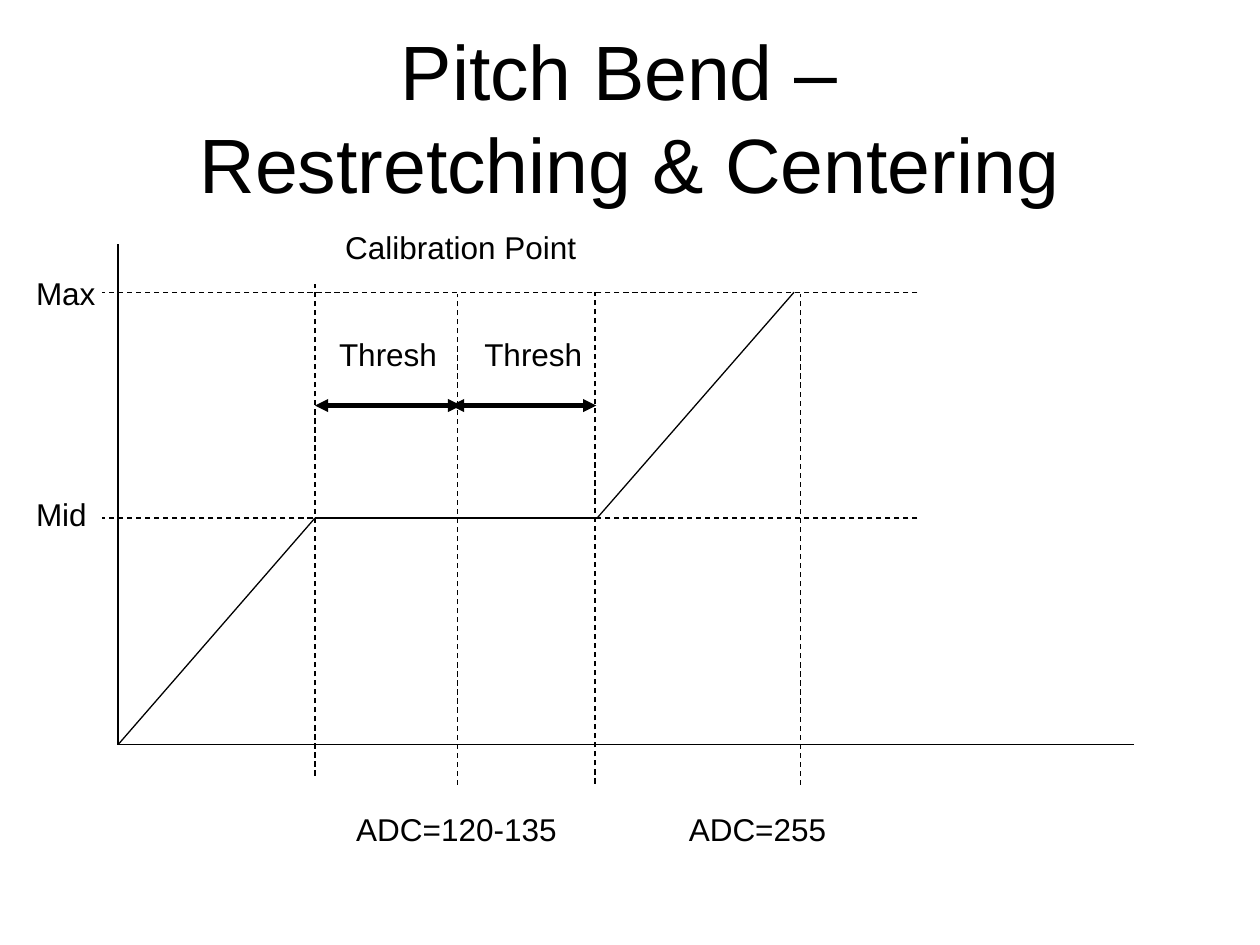
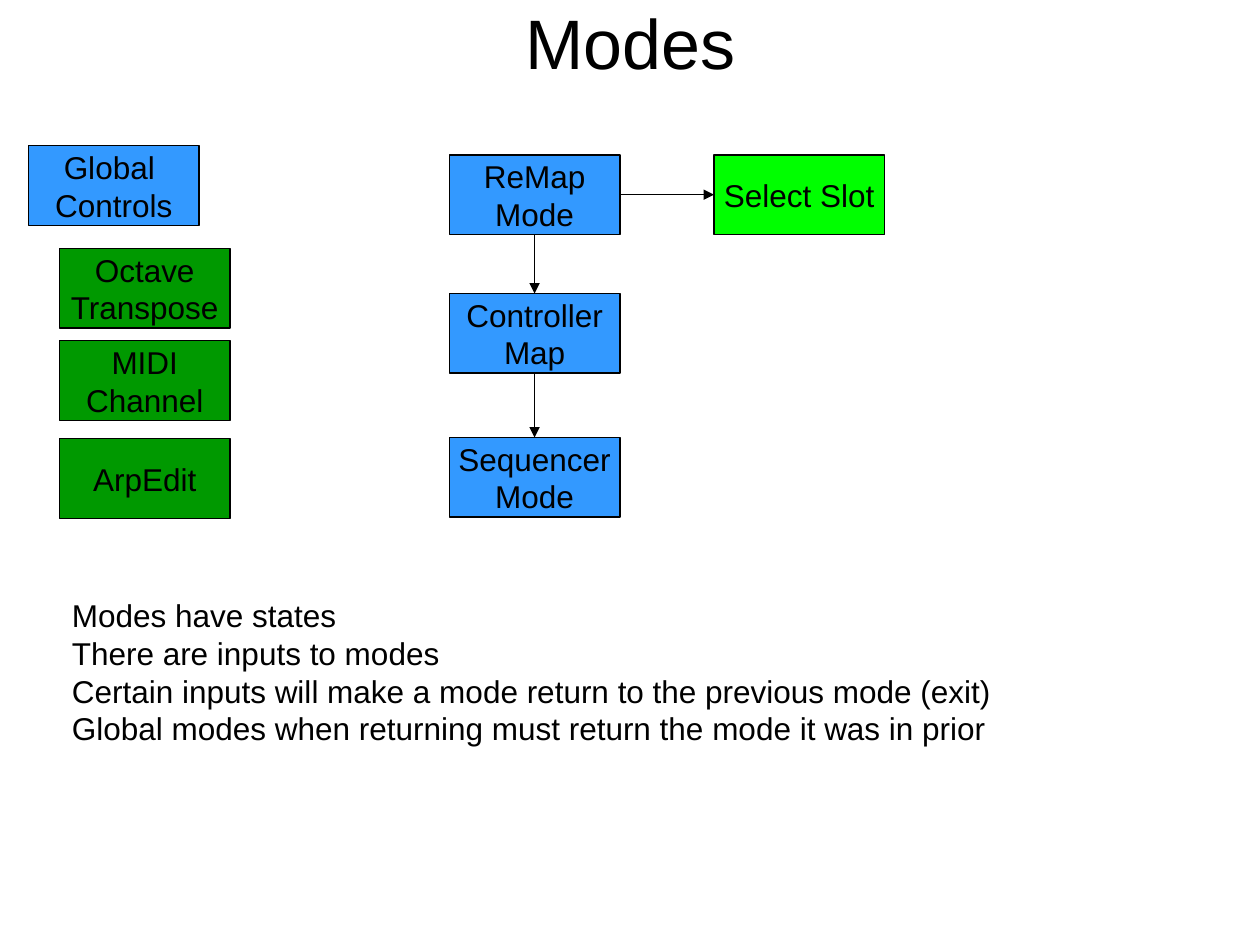
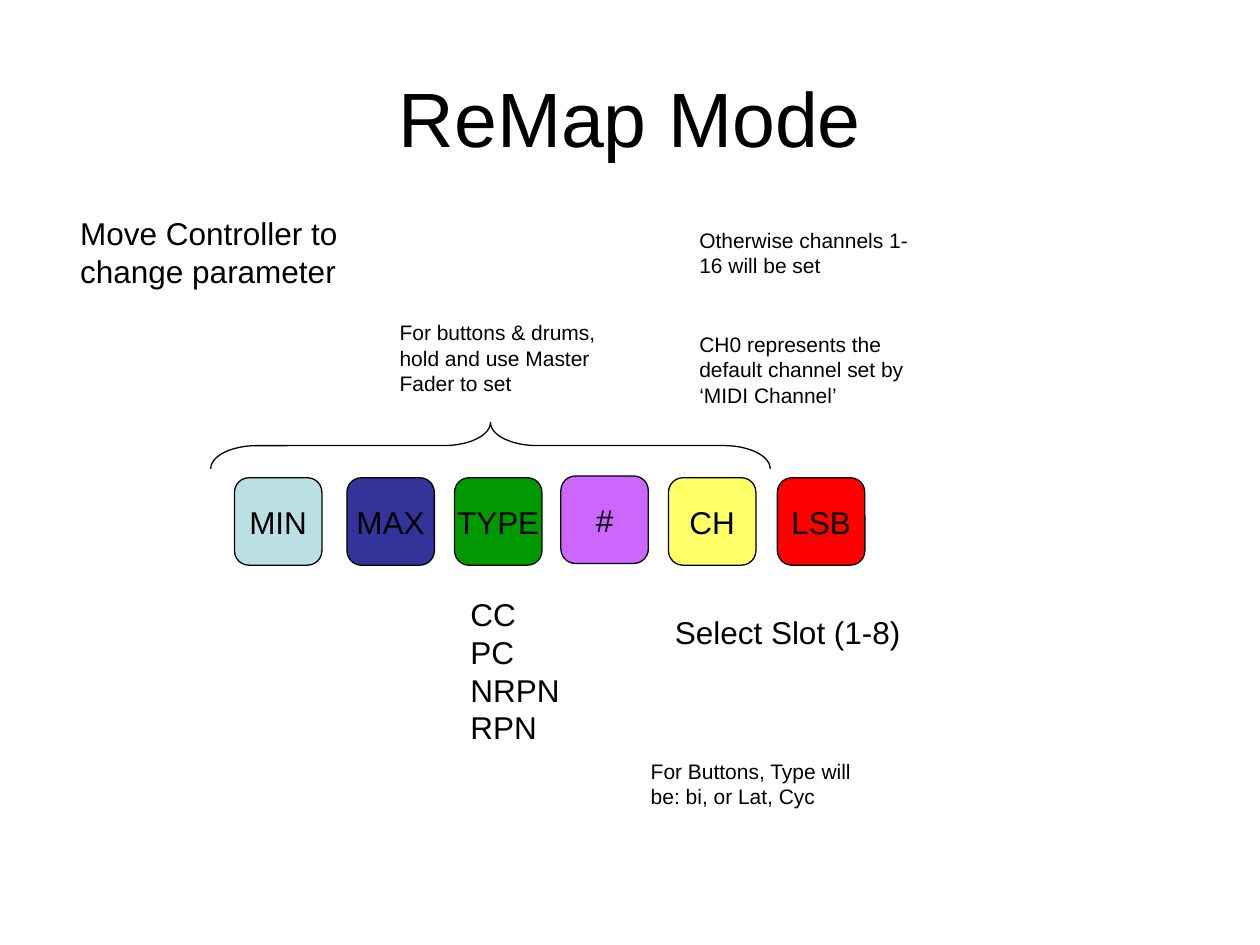
from lxml.etree import SubElement
from pptx import Presentation
from pptx.dml.color import RGBColor
from pptx.enum.dml import MSO_LINE as Dash
from pptx.enum.shapes import MSO_CONNECTOR as Connector, MSO_SHAPE as Shape
from pptx.enum.text import MSO_ANCHOR as Anchor, PP_ALIGN as Align
from pptx.oxml.ns import qn
from pptx.util import Pt

color = RGBColor.from_string
BLACK = "000000"
BLUE, GREEN, LIME = "3399FF", "009900", "00FF00"
FONT = "Arial"
THIN = 0.75
TITLE = {"align": Align.CENTER, "anchor": Anchor.MIDDLE}
LABEL = TITLE | {"wrap": False}


def write_text(shape, text, size=18, align=Align.LEFT, anchor=Anchor.TOP, wrap=True):
    frame = shape.text_frame
    frame.word_wrap = wrap
    frame.vertical_anchor = anchor
    frame.text = text
    for para in frame.paragraphs:
        para.alignment = align
        for span in para.runs:
            span.font.name = FONT
            span.font.size = Pt(size)
            span.font.color.rgb = color(BLACK)


def draw_line(page, start, end, width=THIN, dash=None, arrows=()):
    line = page.shapes.add_connector(Connector.STRAIGHT, *map(Pt, start + end))
    line.line.color.rgb = color(BLACK)
    line.line.width = Pt(width)
    if dash:
        line.line.dash_style = dash
    properties = line._element.spPr
    for arrow in arrows:
        SubElement(properties.find(qn("a:ln")), qn(f"a:{arrow}"), type="triangle")
    SubElement(properties, qn("a:effectLst"))
    return line


deck = Presentation()
deck.slide_width, deck.slide_height = Pt(720), Pt(540)
titles = [
    ("Pitch Bend – \vRestretching & Centering", 21.5, 90, 44),
    ("Modes", 0, 47.5, 40),
    ("ReMap Mode", 21.5, 90, 44),
]
for text, top, height, size in titles:
    page = deck.slides.add_slide(deck.slide_layouts[6])
    box = page.shapes.add_textbox(Pt(36), Pt(top), Pt(648), Pt(height))
    write_text(box, text, size=size, **TITLE)
bend_page, modes_page, remap_page = deck.slides

axis_x, axis_y = 67.5, 425.5
max_y, mid_y, arrow_y = 167, 296, 231.75
low_x, center_x, high_x, full_x = 180, 261.25, 340, 457.25
curve = [(axis_x, axis_y), (low_x, mid_y), (341.25, mid_y), (453.75, max_y)]

draw_line(bend_page, (axis_x, 139.5), (axis_x, axis_y))
draw_line(bend_page, (648, axis_y), (axis_x, axis_y))
for start, end in zip(curve, curve[1:]):
    draw_line(bend_page, end, start)
for level in (max_y, mid_y):
    draw_line(bend_page, (524.25, level), (58.5, level), dash=Dash.DASH)
for x, top in [(low_x, 162.5), (center_x, 167.75), (high_x, 167), (full_x, 167.75)]:
    draw_line(bend_page, (x, top + 280.75), (x, top), dash=Dash.DASH)
for left, right in [(low_x, 263.5), (257.75, 340.75)]:
    draw_line(bend_page, (left, arrow_y), (right, arrow_y), width=2.5,
              arrows=("headEnd", "tailEnd"))

bend_labels = [
    ("Max", 13.5, 153, 65.5, Align.LEFT),
    ("Mid", 13.5, 279.5, 65.5, Align.LEFT),
    ("ADC=255", 386.5, 459.5, 104.5, Align.LEFT),
    ("ADC=120-135", 196.5, 459.5, 129.5, Align.LEFT),
    ("Calibration Point", 162, 127, 202.5, Align.CENTER),
    ("Thresh", 171.25, 188, 101, Align.CENTER),
    ("Thresh", 254.25, 188, 101, Align.CENTER),
]
for text, left, top, width, align in bend_labels:
    box = bend_page.shapes.add_textbox(Pt(left), Pt(top), Pt(width), Pt(29))
    write_text(box, text, align=align)

modes = [
    ("Global \nControls", 16.25, 83.25, BLUE),
    ("Octave\nTranspose", 34, 142, GREEN),
    ("MIDI\nChannel", 34, 194.75, GREEN),
    ("ArpEdit", 34, 250.75, GREEN),
    ("ReMap\nMode", 256.75, 88.5, BLUE),
    ("Controller\nMap", 256.75, 167.75, BLUE),
    ("Sequencer\nMode", 256.75, 250, BLUE),
    ("Select Slot", 408, 88.5, LIME),
]
mode_boxes = {}
for text, left, top, fill in modes:
    box = modes_page.shapes.add_shape(Shape.RECTANGLE, Pt(left), Pt(top), Pt(97.5), Pt(45.5))
    box.shadow.inherit = False
    box.fill.solid()
    box.fill.fore_color.rgb = color(fill)
    box.line.color.rgb = color(BLACK)
    box.line.width = Pt(THIN)
    write_text(box, text, **LABEL)
    mode_boxes[text.split()[0]] = box

steps = [
    ("ReMap", 3, "Select", 1),
    ("ReMap", 2, "Controller", 0),
    ("Controller", 2, "Sequencer", 0),
]
for source, source_side, target, target_side in steps:
    arrow = draw_line(modes_page, (0, 0), (0, 0), arrows=["tailEnd"])
    arrow.begin_connect(mode_boxes[source], source_side)
    arrow.end_connect(mode_boxes[target], target_side)

box = modes_page.shapes.add_textbox(Pt(34), Pt(337), Pt(585), Pt(93.5))
write_text(box, "Modes have states\n"
                "There are inputs to modes\n"
                "Certain inputs will make a mode return to the previous mode (exit)\n"
                "Global modes when returning must return the mode it was in prior")

buttons = [
    ("MIN", 134, 273, "BBE0E3"),
    ("MAX", 198.25, 273, "333399"),
    ("TYPE", 259.75, 273, GREEN),
    ("#", 320.5, 272, "CC66FF"),
    ("CH", 382, 273, "FFFF66"),
    ("LSB", 444.25, 273, "FF0000"),
]
for text, left, top, fill in buttons:
    button = remap_page.shapes.add_shape(Shape.ROUNDED_RECTANGLE, Pt(left), Pt(top), Pt(50), Pt(50))
    button.shadow.inherit = False
    button.fill.solid()
    button.fill.fore_color.rgb = color(fill)
    button.line.color.rgb = color(BLACK)
    button.line.width = Pt(THIN)
    write_text(button, text, **LABEL)

brace = remap_page.shapes.add_shape(Shape.LEFT_BRACE, Pt(267), Pt(94.75), Pt(26.5), Pt(319.75))
brace.rotation = 90
brace.adjustments[0] = 1
brace.shadow.inherit = False
brace.fill.background()
brace.line.color.rgb = color(BLACK)
brace.line.width = Pt(THIN)

remap_notes = [
    ("Select Slot (1-8)", 378.5, 346.5, 145.5, 29, 18),
    ("Move Controller to change parameter", 38.75, 119, 168, 50.5, 18),
    ("CC\vPC\vNRPN\vRPN", 261.75, 336.5, 69, 93.5, 18),
    ("For buttons & drums,\vhold and use Master Fader to set", 221.25, 179.25, 134.5, 50.5, 12),
    ("CH0 represents the default channel set by ‘MIDI Channel’", 392.5, 186, 134.5, 50.5, 12),
    ("Otherwise channels 1-16 will be set", 392.5, 126.5, 134.5, 36, 12),
    ("For Buttons, Type will be: bi, or Lat, Cyc", 364.75, 430, 134.5, 36, 12),
]
for text, left, top, width, height, size in remap_notes:
    box = remap_page.shapes.add_textbox(Pt(left), Pt(top), Pt(width), Pt(height))
    write_text(box, text, size=size)

deck.save("out.pptx")
